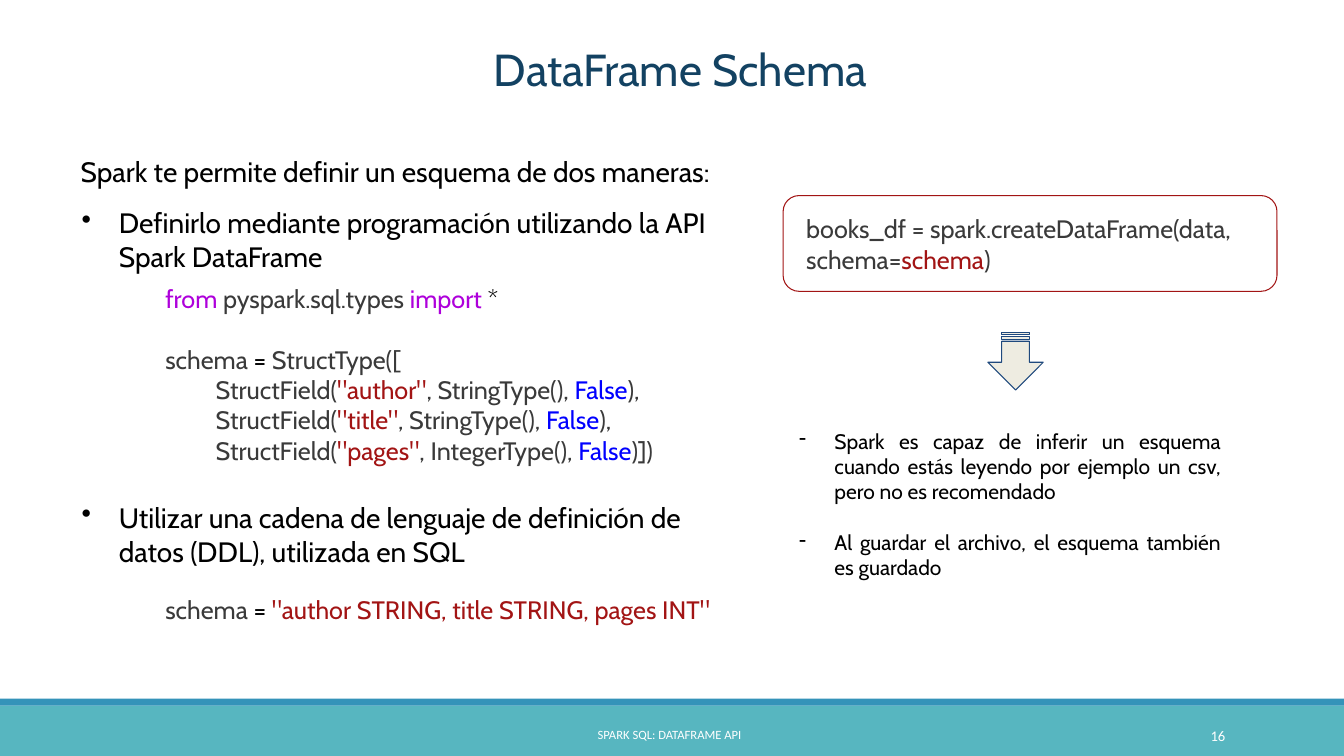
"""Build the DataFrame Schema slide."""
from lxml.etree import SubElement
from pptx import Presentation
from pptx.dml.color import RGBColor
from pptx.enum.shapes import MSO_SHAPE
from pptx.enum.text import MSO_ANCHOR, MSO_AUTO_SIZE, PP_ALIGN
from pptx.oxml.ns import qn
from pptx.util import Pt

INK = {
    "title": "134262", "text": "000000", "code": "3A3A3A", "word": "AE00DB",
    "string": "A21414", "value": "0000FF", "white": "FFFFFF",
    "band": "57B6C0", "stripe": "3493B9", "arrow": "EEECE1", "edge": "1F497D",
}
FIELDS = [("author", "StringType", "),"), ("title", "StringType", "),"),
          ("pages", "IntegerType", ")])")]

STYLES = {
    "lead": dict(size=20, left=0.7),
    "point": dict(size=20, left=28, hang=-26.6, mark="•"),
    "code": dict(size=18, left=61.2),
    "field": dict(size=18, left=97.2),
    "call": dict(size=18),
    "note": dict(size=15, left=36, hang=-25.2, mark="-", align=PP_ALIGN.JUSTIFY),
    "head": dict(size=32, left=0.7),
    "foot": dict(size=9, left=0.7, font="Calibri", lines=1.06),
    "page": dict(size=10.5, left=2.9, font="Calibri", lines=1.1),
}

TITLE = [("head", 0, [("DataFrame Schema", "title")])]
BODY = [
    ("lead", 0, [("Spark te permite definir un esquema de dos maneras:", "text")]),
    ("point", 12.9, [("Definirlo mediante programación utilizando la API Spark DataFrame", "text")]),
    ("code", 7, [("from ", "word"), ("pyspark.sql.types ", "code"),
                 ("import ", "word"), ("*", "text")]),
    ("code", 22.2, [("schema ", "code"), ("= ", "text"), ("StructType([", "code")]),
    *[("field", 0, [("StructField(", "code"), (f'"{name}"', "string"),
                    (f", {kind}(), ", "code"), ("False", "value"), (end, "code")])
      for name, kind, end in FIELDS],
    ("point", 25.2, [("Utilizar una cadena de lenguaje de definición de datos (DDL), "
                      "utilizada en SQL", "text")]),
    ("code", 18.9, [("schema ", "code"), ("= ", "text"),
                    ('"author STRING, title STRING, pages INT"', "string")]),
]
CALL = [("call", 0, [("books_df = spark.createDataFrame(data, schema=", "code"),
                     ("schema", "string"), (")", "code")])]
NOTES = [
    ("note", 0, [("Spark es capaz de inferir un esquema cuando estás leyendo por ejemplo "
                  "un csv, pero no es recomendado", "text")]),
    ("note", 18.2, [("Al guardar el archivo, el esquema también es guardado", "text")]),
]
FOOT = [("foot", 0, [("SPARK SQL: DATAFRAME API", "white")])]
PAGE = [("page", 0, [("16", "white")])]

BOXES = [
    (BODY, (56.9, 96.5, 471.6, 352.8), (0, 13.7, 0, 0)),
    (CALL, (568.8, 145.4, 338.4, 58.3), (7.2,) * 4),
    (NOTES, (553, 298.8, 326.2, 127.4), (7.2,) * 4),
    (FOOT, (426.2, 518.4, 108, 10.8), (0,) * 4),
    (PAGE, (861.8, 517.7, 18, 12.2), (0,) * 4),
]
SHAPES = [
    (MSO_SHAPE.RECTANGLE, (0, 504, 960, 36), "band", None, 0),
    (MSO_SHAPE.RECTANGLE, (0, 499, 960, 5), "stripe", None, 0),
    (MSO_SHAPE.ROUNDED_RECTANGLE, (559.4, 139.7, 352.8, 68.4), None, "string", 0),
    (MSO_SHAPE.STRIPED_RIGHT_ARROW, (704.9, 238.3, 41, 39.6), "arrow", "edge", 90),
]


def tint(name):
    return RGBColor.from_string(INK[name])


def style(para, before, runs, size, left=0, hang=0, mark=None,
          align=PP_ALIGN.LEFT, font="Cabin", lines=1):
    para.alignment, para.line_spacing = align, lines
    para.space_before, para.space_after = Pt(before), Pt(0)
    props = para._p.get_or_add_pPr()
    props.set("marL", str(Pt(left)))
    props.set("indent", str(Pt(hang)))
    if mark:
        ink = SubElement(props, qn("a:buClr"))
        SubElement(ink, qn("a:srgbClr"), val=INK["text"])
        SubElement(props, qn("a:buChar"), char=mark)
    for text, color in runs:
        run = para.add_run()
        run.text = text
        run.font.name, run.font.size = font, Pt(size)
        run.font.color.rgb = tint(color)


def write(box, paras, pads):
    frame = box.text_frame
    frame.word_wrap, frame.auto_size = True, MSO_AUTO_SIZE.NONE
    frame.vertical_anchor = MSO_ANCHOR.TOP
    (frame.margin_left, frame.margin_top,
     frame.margin_right, frame.margin_bottom) = map(Pt, pads)
    for i, (kind, before, runs) in enumerate(paras):
        para = frame.add_paragraph() if i else frame.paragraphs[0]
        style(para, before, runs, **STYLES[kind])


def draw(slide, kind, place, fill, line, turn):
    shape = slide.shapes.add_shape(kind, *map(Pt, place))
    shape.shadow.inherit = False
    shape.rotation = turn
    if fill:
        shape.fill.solid()
        shape.fill.fore_color.rgb = tint(fill)
    else:
        shape.fill.background()
    if line:
        shape.line.color.rgb = tint(line)
        shape.line.width = Pt(0.75)
    else:
        shape.line.fill.background()


def main():
    deck = Presentation()
    deck.slide_width, deck.slide_height = Pt(960), Pt(540)
    slide = deck.slides.add_slide(deck.slide_layouts[5])
    title = slide.shapes.title
    title.left, title.top, title.width, title.height = map(Pt, (352, 28.8, 287.3, 39.6))
    write(title, TITLE, (0, 0.7, 0, 0))
    for shape in SHAPES:
        draw(slide, *shape)
    for paras, place, pads in BOXES:
        write(slide.shapes.add_textbox(*map(Pt, place)), paras, pads)
    deck.save("out.pptx")


if __name__ == "__main__":
    main()
